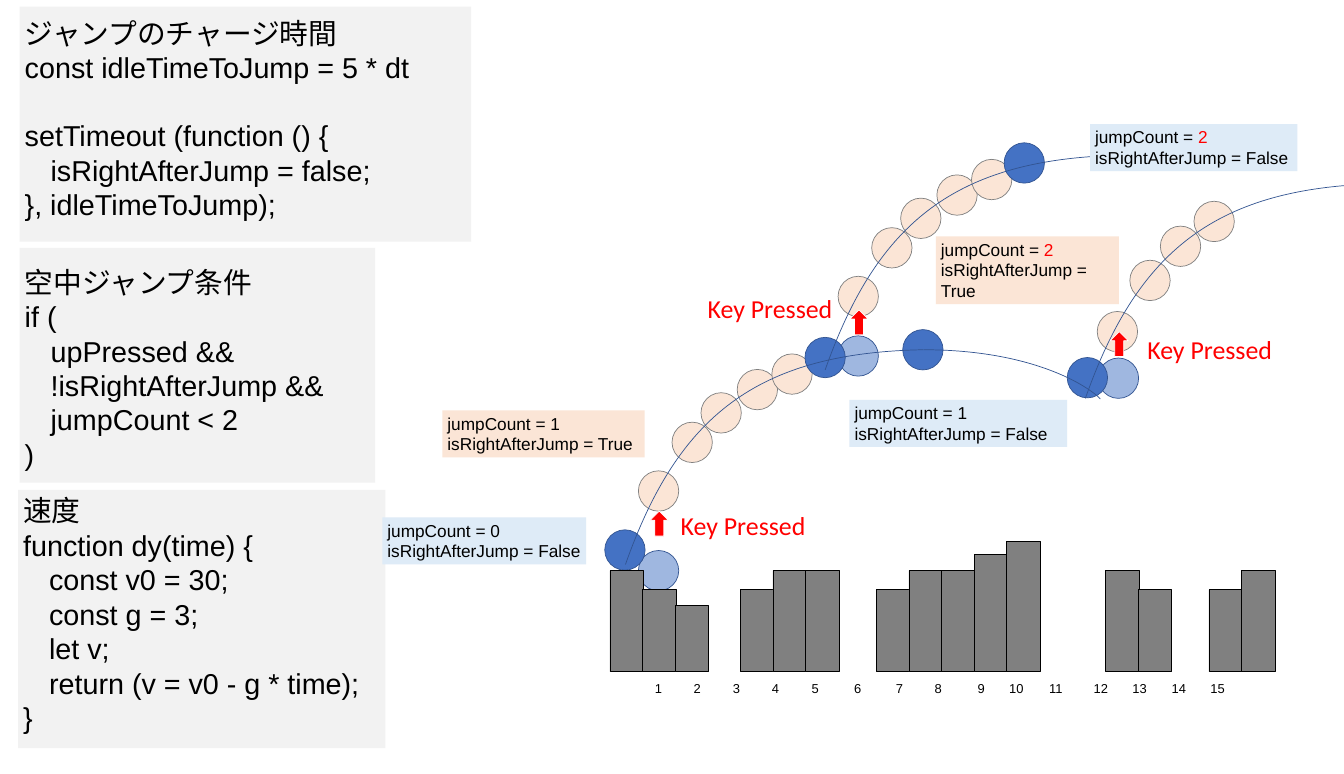
import dataclasses

import lxml.etree
import pptx
import pptx.dml.color
import pptx.enum.shapes
import pptx.enum.text
import pptx.oxml.ns
import pptx.util

Inches = pptx.util.Inches
Pt = pptx.util.Pt
SHAPE = pptx.enum.shapes.MSO_SHAPE
qn = pptx.oxml.ns.qn


@dataclasses.dataclass(frozen=True)
class Theme:
    """Colours, fonts and type sizes of the slide."""
    black: str = "000000"
    white: str = "FFFFFF"
    red: str = "FF0000"
    gray: str = "808080"
    panel: str = "F2F2F2"
    blue: str = "4472C4"
    outline: str = "325491"
    peach: str = "FBE5D6"
    pale_blue: str = "DEEBF7"
    body_font: str = "Arial"
    key_font: str = "Calibri"
    code_size: int = 40
    key_size: int = 36
    label_size: int = 24
    frame_size: int = 18


@dataclasses.dataclass(frozen=True)
class Box:
    """A rectangle on the slide, in inches."""
    left: float
    top: float
    width: float
    height: float

    def inside(self, left, top, width, height):
        """Return a box placed relative to this one."""
        return Box(self.left + left, self.top + top, width, height)

    def lengths(self):
        """Return the four lengths for python-pptx."""
        return [Inches(value) for value in (self.left, self.top, self.width, self.height)]


@dataclasses.dataclass(frozen=True)
class Jump:
    """One jump: its arc box and the balls, arrow and caption around it."""
    box: Box
    start: tuple
    pressed_top: float
    arrow_top: float
    caption: tuple
    trail: tuple
    last: tuple = None


THEME = Theme()
BALL = 0.78
TRAIL = ((0.25, 2.34), (0.9, 1.4), (1.46, 0.83), (2.16, 0.38), (2.83, 0.08))
JUMPS = (
    Jump(Box(12.09, 6.76, 5.75, 4.15), (-0.4, 3.48), 3.88, 3.12, (0.97, 3.05), TRAIL, (5.36, -0.39)),
    Jump(Box(15.95, 3, 5.75, 4.15), (-0.39, 3.52), 3.49, 2.99, (-2.37, 2.61), TRAIL, (3.46, -0.24)),
    Jump(Box(20.98, 3.55, 5.75, 4.15), (-0.35, 3.36), 3.37, 2.86, (1.1, 2.84),
         ((0.23, 2.47), (0.86, 1.48), (1.45, 0.82), (2.1, 0.34))),
)
RISE = ((0, 4.15), (1.01, 1.29), (2.53, 0.06), (5.75, 0))
FALL = ((3.42, 0.95), (3.18, 0.7), (2.11, 0), (0, 0))
BLOCK_GROUPS = (
    (0, (1.95, 1.58, 1.27)),
    (2.52, (1.58, 1.95, 1.95)),
    (5.15, (1.58, 1.95, 1.95, 2.26, 2.52)),
    (9.58, (1.95, 1.58)),
    (11.58, (1.58, 1.95)),
)
FRAME_TABS = (0.82, 1.58, 2.33, 3.1, 3.92, 4.73, 5.48, 6.31, 6.99, 7.75, 8.62, 9.37, 10.13, 10.88)
STATE_LABELS = (
    (Box(7.39, 10, 3.94, 0.91), 0, False),
    (Box(8.55, 7.93, 3.91, 0.91), 1, True),
    (Box(16.42, 7.73, 4.21, 0.91), 1, False),
    (Box(18.09, 4.57, 3.54, 1.31), 2, True),
    (Box(21.07, 2.4, 4.01, 0.91), 2, False),
)
CODE_PANELS = (
    (Box(0.35, 9.47, 7.1, 4.99), (0, 0.01, 6.95, 4.81), (
        (0, "速度"), (0, "function dy(time) {"), (1, "const v0 = 30;"), (1, "const g = 3;"),
        (1, "let v;"), (1, "return (v = v0 - g * time);"), (0, "}"))),
    (Box(0.38, 4.79, 6.87, 4.54), (0, 0.27, 6.19, 4.14), (
        (0, "空中ジャンプ条件"), (0, "if ("), (1, "upPressed &&"),
        (1, "!isRightAfterJump &&"), (1, "jumpCount < 2"), (0, ")"))),
    (Box(0.38, 0.13, 8.73, 4.54), (0, 0.12, 8.01, 4.81), (
        (0, "ジャンプのチャージ時間"), (0, "const idleTimeToJump = 5 * dt"),
        (0, "setTimeout (function () {"), (1, "isRightAfterJump = false;"),
        (0, "}, idleTimeToJump);"))),
)


def rgb(color):
    """Return a python-pptx colour."""
    return pptx.dml.color.RGBColor.from_string(color)


def add_shape(slide, kind, box, fill, line=None):
    """Add a flat preset shape."""
    shape = slide.shapes.add_shape(kind, *box.lengths())
    shape.shadow.inherit = False
    shape.fill.solid()
    shape.fill.fore_color.rgb = rgb(fill)
    if line:
        shape.line.color.rgb = rgb(line)
        shape.line.width = Pt(1)
    else:
        shape.line.fill.background()
    return shape


def style_paragraph(paragraph, size, font=THEME.body_font, color=THEME.black):
    """Set the font of a whole paragraph."""
    paragraph.font.size = Pt(size)
    paragraph.font.name = font
    paragraph.font.color.rgb = rgb(color)


def add_text(slide, box, lines, size, font=THEME.body_font, color=THEME.black):
    """Add a text box with one paragraph per (level, text) line."""
    frame = slide.shapes.add_textbox(*box.lengths()).text_frame
    frame.word_wrap = True
    for index, (level, text) in enumerate(lines):
        paragraph = frame.add_paragraph() if index else frame.paragraphs[0]
        paragraph.text = text
        paragraph.level = level
        style_paragraph(paragraph, size, font, color)
    return frame


def draw_code(slide, box, text_place, lines):
    """Draw a code panel with its text."""
    add_shape(slide, SHAPE.RECTANGLE, box, THEME.panel)
    frame = add_text(slide, box.inside(*text_place), lines, THEME.code_size)
    for paragraph in frame.paragraphs:
        if paragraph.text.startswith("setTimeout"):
            paragraph.space_before = Pt(47)


def draw_balls(slide, jump):
    """Draw the balls of one jump."""
    def ball(position, fill, line):
        return add_shape(slide, SHAPE.OVAL, jump.box.inside(*position, BALL, BALL), fill, line)

    pressed = ball((0.25, jump.pressed_top), THEME.blue, THEME.outline)
    color = pressed.element.spPr.find(qn("a:solidFill"))[0]
    lxml.etree.SubElement(color, qn("a:alpha"), val="51000")
    for position in jump.trail:
        ball(position, THEME.peach, THEME.gray)
    for position in filter(None, (jump.start, jump.last)):
        ball(position, THEME.blue, THEME.outline)


def draw_arc(slide, box, controls):
    """Draw one cubic curve whose control points are relative to the box."""
    points = [(Inches(box.left + x), Inches(box.top + y)) for x, y in controls]
    builder = slide.shapes.build_freeform(*points[0])
    builder.add_line_segments(points[1:], close=False)
    arc = builder.convert_to_shape()
    outline = next(arc.element.iter(qn("a:path")))
    segments = outline.findall(qn("a:lnTo"))
    curve = lxml.etree.SubElement(outline, qn("a:cubicBezTo"))
    for segment in segments:
        curve.append(segment[0])
        outline.remove(segment)
    arc.shadow.inherit = False
    arc.fill.background()
    arc.line.color.rgb = rgb(THEME.outline)
    arc.line.width = Pt(1)


def draw_key_press(slide, jump):
    """Draw the key arrow and caption of one jump."""
    arrow_box = jump.box.inside(0.48, jump.arrow_top, 0.35, 0.48)
    add_shape(slide, SHAPE.UP_ARROW, arrow_box, THEME.red, THEME.white)
    caption_box = jump.box.inside(*jump.caption, 2.84, 0.71)
    add_text(slide, caption_box, [(0, "Key Pressed")], THEME.key_size, THEME.key_font, THEME.red)


def draw_blocks(slide, box):
    """Draw the ground blocks along the bottom of the box."""
    for group_left, heights in BLOCK_GROUPS:
        for index, height in enumerate(heights):
            block = box.inside(group_left + index * 0.63, box.height - height, 0.65, height)
            add_shape(slide, SHAPE.RECTANGLE, block, THEME.gray, THEME.black)


def draw_frame_numbers(slide, box):
    """Draw the row of frame numbers on centred tab stops."""
    numbers = "\t".join(str(number) for number in range(1, len(FRAME_TABS) + 2))
    frame = add_text(slide, box, [(0, numbers)], THEME.frame_size)
    tabs = lxml.etree.Element(qn("a:tabLst"))
    for position in FRAME_TABS:
        lxml.etree.SubElement(tabs, qn("a:tab"), pos=str(Inches(position)), algn="ctr")
    frame.paragraphs[0]._p.get_or_add_pPr().insert(0, tabs)


def draw_state(slide, box, count, after_jump):
    """Draw a label with the values of the two jump variables."""
    fill = THEME.peach if after_jump else THEME.pale_blue
    frame = add_shape(slide, SHAPE.RECTANGLE, box, fill).text_frame
    frame.word_wrap = True
    frame.vertical_anchor = pptx.enum.text.MSO_ANCHOR.TOP
    count_color = THEME.red if count == 2 else THEME.black
    lines = ((("jumpCount = ", THEME.black), (str(count), count_color)),
             ((f"isRightAfterJump = {after_jump}", THEME.black),))
    for index, runs in enumerate(lines):
        paragraph = frame.add_paragraph() if index else frame.paragraphs[0]
        paragraph.alignment = pptx.enum.text.PP_ALIGN.LEFT
        style_paragraph(paragraph, THEME.label_size)
        for text, color in runs:
            run = paragraph.add_run()
            run.text = text
            run.font.color.rgb = rgb(color)


def main():
    """Build the jump diagram slide."""
    presentation = pptx.Presentation()
    presentation.slide_width = Inches(25.98)
    presentation.slide_height = Inches(14.96)
    slide = presentation.slides.add_slide(presentation.slide_layouts[6])
    for panel in CODE_PANELS:
        draw_code(slide, *panel)
    for jump in JUMPS:
        draw_balls(slide, jump)
    for jump in JUMPS:
        draw_arc(slide, jump.box, RISE)
    draw_arc(slide, Box(17.85, 6.76, 3.42, 0.95), FALL)
    draw_blocks(slide, Box(11.79, 10.45, 12.85, 2.53))
    draw_frame_numbers(slide, Box(12.56, 13.1, 13.4, 0.4))
    for label in STATE_LABELS:
        draw_state(slide, *label)
    for jump in JUMPS:
        draw_key_press(slide, jump)
    presentation.save("out.pptx")


if __name__ == "__main__":
    main()
